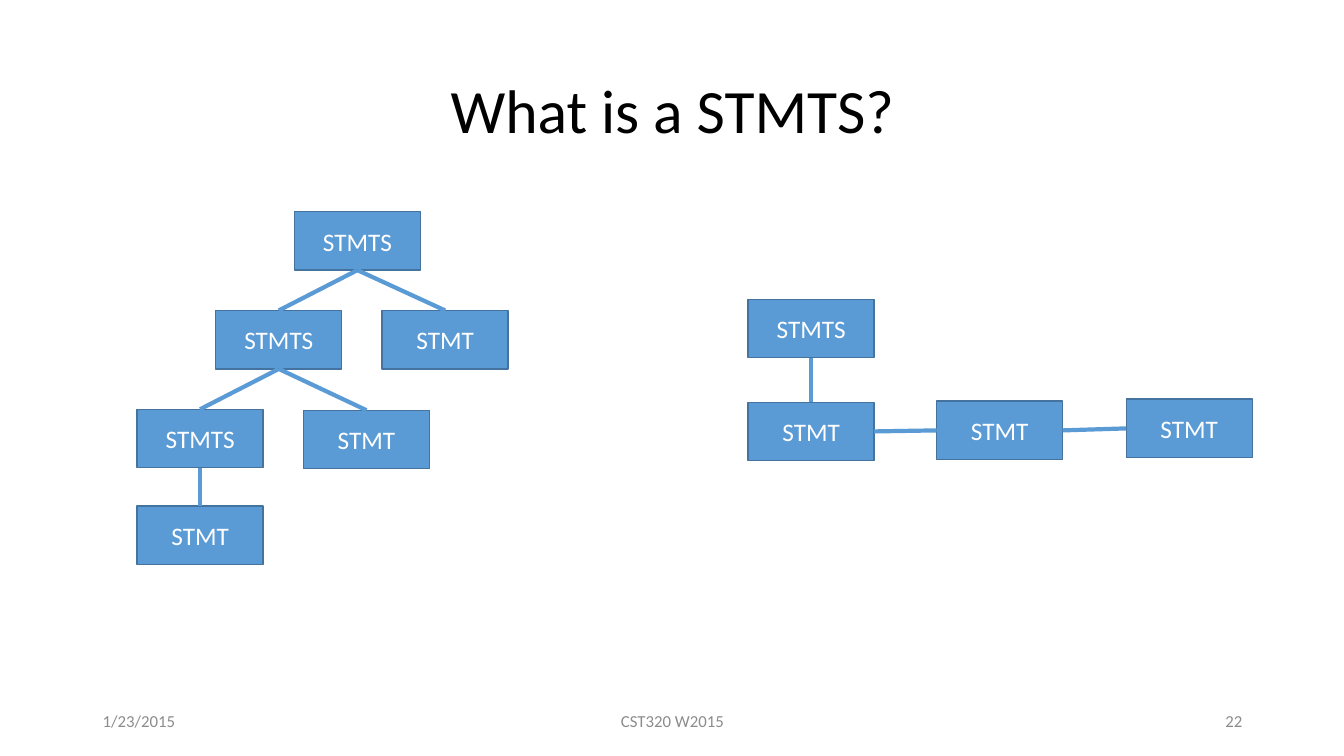
import pptx
import pptx.util
import pptx.dml.color
import pptx.enum.shapes
import pptx.enum.text
import pptx.oxml.ns
import lxml.etree

Inches, Pt = pptx.util.Inches, pptx.util.Pt
RGBColor = pptx.dml.color.RGBColor
ALIGN = pptx.enum.text.PP_ALIGN
MIDDLE = pptx.enum.text.MSO_ANCHOR.MIDDLE

BLUE = RGBColor(0x5B, 0x9B, 0xD5)
DARK_BLUE = RGBColor(0x43, 0x73, 0x9E)
GRAY = RGBColor(0x8C, 0x8C, 0x8C)
BLACK = RGBColor(0, 0, 0)
WHITE = RGBColor(255, 255, 255)
FONT = "Calibri"
NODE_WIDTH, NODE_HEIGHT = Inches(1.25), Inches(0.58)
# Connection site of a rectangle: number, share of width, share of height
TOP, LEFT, BOTTOM, RIGHT = (0, 0.5, 0), (1, 0, 0.5), (2, 0.5, 1), (3, 1, 0.5)

# Content
TITLE = "What is a STMTS?"
FOOTERS = [  # text, left, width, alignment
    ("1/23/2015", 0.92, 3, ALIGN.LEFT),
    ("CST320 W2015", 4.42, 4.5, ALIGN.CENTER),
    ("22", 9.42, 3, ALIGN.RIGHT),
]
NODES = {  # key: text, left, top
    "root": ("STMTS", 2.92, 2.1),
    "root statement": ("STMT", 3.79, 3.08),
    "middle": ("STMTS", 2.14, 3.08),
    "middle statement": ("STMT", 3.01, 4.07),
    "lowest": ("STMTS", 1.36, 4.06),
    "lowest statement": ("STMT", 1.36, 5.02),
    "list": ("STMTS", 7.42, 2.97),
    "first": ("STMT", 7.42, 3.99),
    "second": ("STMT", 9.29, 3.98),
    "third": ("STMT", 11.17, 3.96),
}
CHILD_LINKS = [
    ("root", "middle"), ("root", "root statement"),
    ("middle", "lowest"), ("middle", "middle statement"),
    ("lowest", "lowest statement"), ("list", "first"),
]
SIBLING_LINKS = [("first", "second"), ("second", "third")]


def write(shape, text, size, color, align):
    frame = shape.text_frame
    frame.text = text
    frame.word_wrap = True
    frame.vertical_anchor = MIDDLE
    para = frame.paragraphs[0]
    para.alignment = align
    para.font.name, para.font.size = FONT, Pt(size)
    para.font.color.rgb = color
    return para


def site_point(box, site):
    number, across, down = site
    return box.left + int(across * box.width), box.top + int(down * box.height)


deck = pptx.Presentation()
deck.slide_width, deck.slide_height = Inches(13.33), Inches(7.5)
page = deck.slides.add_slide(deck.slide_layouts[5])

# Title
title = page.shapes.title
title.left, title.top = Inches(0.92), Inches(0.4)
title.width, title.height = Inches(11.5), Inches(1.45)
write(title, TITLE, 44, BLACK, ALIGN.CENTER).line_spacing = 0.9

# Footer
for text, left, width, align in FOOTERS:
    box = page.shapes.add_textbox(Inches(left), Inches(6.95), Inches(width), Inches(0.4))
    write(box, text, 12, GRAY, align)

# Statement nodes
boxes = {}
for key, (text, left, top) in NODES.items():
    box = page.shapes.add_shape(
        pptx.enum.shapes.MSO_SHAPE.RECTANGLE,
        Inches(left), Inches(top), NODE_WIDTH, NODE_HEIGHT)
    box.shadow.inherit = False
    box.fill.solid()
    box.fill.fore_color.rgb = BLUE
    box.line.color.rgb = DARK_BLUE
    box.line.width = Pt(1)
    write(box, text, 18, WHITE, ALIGN.CENTER)
    boxes[key] = box

# Links: parent to child runs down, sibling to sibling runs right
for links, start_site, end_site in [(CHILD_LINKS, BOTTOM, TOP), (SIBLING_LINKS, RIGHT, LEFT)]:
    for start, end in links:
        link = page.shapes.add_connector(
            pptx.enum.shapes.MSO_CONNECTOR.STRAIGHT,
            *site_point(boxes[start], start_site), *site_point(boxes[end], end_site))
        link.begin_connect(boxes[start], start_site[0])
        link.end_connect(boxes[end], end_site[0])
        link.line.color.rgb = BLUE
        link.line.width = Pt(3)
        lxml.etree.SubElement(link._element.spPr, pptx.oxml.ns.qn("a:effectLst"))

deck.save("out.pptx")
